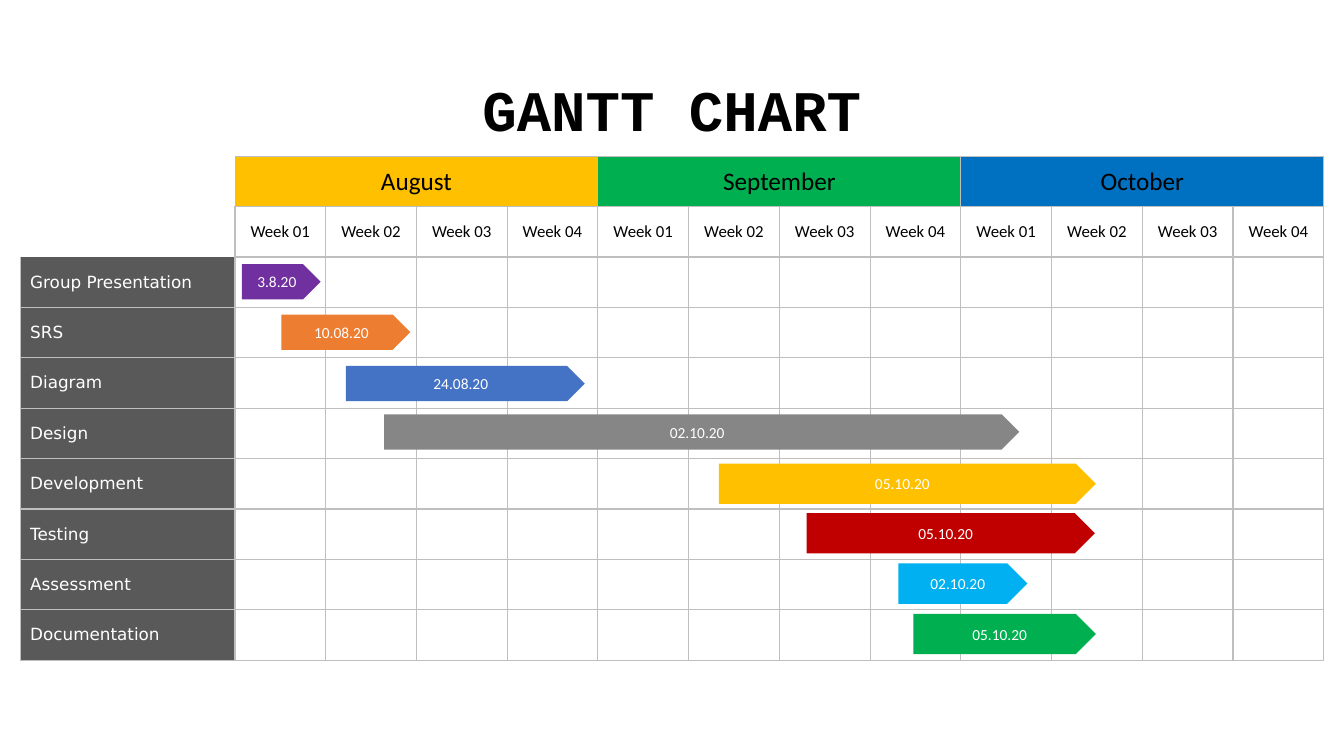
import pptx
import pptx.dml.color
import pptx.enum.shapes
import pptx.enum.text
import pptx.oxml
import pptx.oxml.ns
import pptx.util

Inches = pptx.util.Inches
PP_ALIGN = pptx.enum.text.PP_ALIGN
ANCHOR = pptx.enum.text.MSO_ANCHOR

MONTHS = [("August", "FFC000"), ("September", "00B050"), ("October", "0070C0")]
WEEKS = 4
TASKS = [
    ("Group Presentation", "3.8.20", "7030A0", 2.4, 2.62, 0.78, 0.35),
    ("SRS", "10.08.20", "ED7D31", 2.79, 3.12, 1.28, 0.35),
    ("Diagram", "24.08.20", "4472C4", 3.43, 3.63, 2.37, 0.35),
    ("Design", "02.10.20", "868686", 3.81, 4.11, 6.3, 0.35),
    ("Development", "05.10.20", "FFC000", 7.13, 4.6, 3.74, 0.4),
    ("Testing", "05.10.20", "C00000", 8, 5.09, 2.86, 0.4),
    ("Assessment", "02.10.20", "00B0F0", 8.91, 5.59, 1.28, 0.4),
    ("Documentation", "05.10.20", "00B050", 9.06, 6.09, 1.81, 0.4),
]
NAME_W, WEEK_W, ROW_H = 2.13, 0.9, 0.5


def paint(color_format, color):
    color_format.rgb = pptx.dml.color.RGBColor.from_string(color)


def fill(target, color):
    target.fill.solid()
    paint(target.fill.fore_color, color)


def write(tf, text, size, color, font="Calibri", align=PP_ALIGN.CENTER, bold=False):
    tf.text = text
    p = tf.paragraphs[0]
    p.alignment = align
    f = p.runs[0].font
    f.size = pptx.util.Pt(size)
    f.name = font
    f.bold = bold
    paint(f.color, color)


def border(cell, sides):
    tc_pr = cell._tc.get_or_add_tcPr()
    for side in "LRTB":
        line = '<a:solidFill><a:srgbClr val="BFBFBF"/></a:solidFill>' if side in sides else "<a:noFill/>"
        tc_pr.append(pptx.oxml.parse_xml(
            f'<a:ln{side} {pptx.oxml.ns.nsdecls("a")} w="12700">{line}</a:ln{side}>'))


def cell_sides(row, col):
    special = {(0, 0): "", (1, 0): "R", (2, 0): "LRB", (0, 1): "TRB"}
    return special.get((row, col), "LRTB")


def add_title(s, text):
    sp = s.shapes.title
    sp.left, sp.top, sp.width, sp.height = map(Inches, (3.02, 0.64, 7.29, 0.84))
    tf = sp.text_frame
    tf.margin_left = tf.margin_right = tf.margin_top = tf.margin_bottom = Inches(0.1)
    tf.auto_size = pptx.enum.text.MSO_AUTO_SIZE.NONE
    tf.vertical_anchor = ANCHOR.TOP
    write(tf, text, 41, "000000", "Courier New", bold=True)


def add_schedule(s):
    rows, weeks = len(TASKS) + 2, len(MONTHS) * WEEKS
    table = s.shapes.add_table(rows, weeks + 1, Inches(0.2), Inches(1.55),
                               Inches(NAME_W + weeks * WEEK_W), Inches(rows * ROW_H)).table
    table.first_row = table.horz_banding = False
    for i, column in enumerate(table.columns):
        column.width = Inches(WEEK_W if i else NAME_W)
    for i, row in enumerate(table.rows):
        row.height = Inches(ROW_H)
        for j, cell in enumerate(row.cells):
            border(cell, cell_sides(i, j))
            fill(cell, "FFFFFF")
            cell.vertical_anchor = ANCHOR.MIDDLE
    for i, (month, color) in enumerate(MONTHS):
        first = 1 + i * WEEKS
        cell = table.cell(0, first)
        cell.merge(table.cell(0, first + WEEKS - 1))
        fill(cell, color)
        write(cell.text_frame, month, 18, "000000")
        for week in range(WEEKS):
            write(table.cell(1, first + week).text_frame, f"Week {week + 1:02d}", 12, "000000")
    for i, task in enumerate(TASKS, 2):
        cell = table.cell(i, 0)
        fill(cell, "595959")
        write(cell.text_frame, task[0], 12, "FFFFFF", "DejaVu Sans", PP_ALIGN.LEFT)


def add_bar(s, date, color, *box):
    sp = s.shapes.add_shape(pptx.enum.shapes.MSO_SHAPE.PENTAGON, *map(Inches, box))
    sp.shadow.inherit = False
    fill(sp, color)
    sp.line.fill.background()
    sp.text_frame.word_wrap = True
    sp.text_frame.vertical_anchor = ANCHOR.MIDDLE
    write(sp.text_frame, date, 11, "FFFFFF")


def main():
    prs = pptx.Presentation()
    prs.slide_width, prs.slide_height = Inches(13.33), Inches(7.5)
    s = prs.slides.add_slide(prs.slide_layouts.get_by_name("Title Only"))
    add_title(s, "GANTT CHART")
    add_schedule(s)
    for task in TASKS:
        add_bar(s, *task[1:])
    prs.save("out.pptx")


main()
